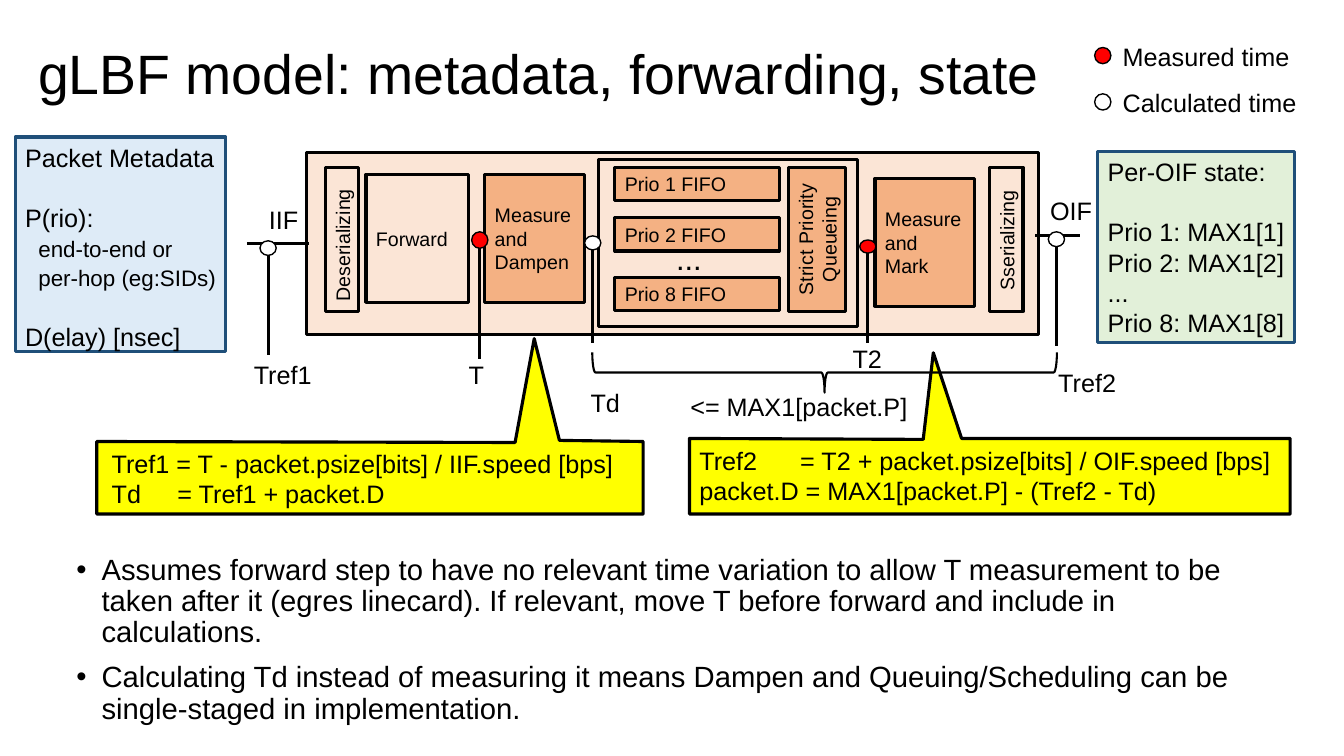
from pptx import Presentation
from pptx.util import Pt
from pptx.dml.color import RGBColor
from pptx.enum.shapes import MSO_SHAPE as SHAPE, MSO_CONNECTOR as CONN
from pptx.enum.text import MSO_ANCHOR as ANCHOR, PP_ALIGN as ALIGN
from pptx.oxml.ns import qn
from lxml.etree import SubElement

BLACK, WHITE, RED, YELLOW = "000000", "FFFFFF", "FF0000", "FFFF00"
PALE, ORANGE, NAVY = "FBE5D6", "F4B183", "1F4F79"
DOT = 11.6    # marker width
LINE = 21.6   # height of one 18 pt line


def rgb(hex_color):
    return RGBColor.from_string(hex_color)


def style(sp, fill=None, line=BLACK, weight=2.25):
    sp.shadow.inherit = False
    if fill:
        sp.fill.solid()
        sp.fill.fore_color.rgb = rgb(fill)
    else:
        sp.fill.background()
    sp.line.color.rgb = rgb(line)
    sp.line.width = Pt(weight)
    return sp


def write(sp, lines, size=18, para=None, indent=0, hanging=0, bullet=None,
          tab=None, **frame):
    """Each line is a string, or a string with its own size, space and indent."""
    tf = sp.text_frame
    for name, value in frame.items():
        setattr(tf, name, value)
    for i, line in enumerate(lines):
        text, own = line if isinstance(line, tuple) else (line, {})
        p = tf.paragraphs[0] if i == 0 else tf.add_paragraph()
        fmt = {"alignment": ALIGN.LEFT, **(para or {})}
        if "before" in own:
            fmt["space_before"] = Pt(own["before"])
        for name, value in fmt.items():
            setattr(p, name, value)
        pPr = p._p.get_or_add_pPr()
        for name, value in (("marL", own.get("indent", indent)), ("indent", -hanging)):
            if value:
                pPr.set(name, str(Pt(value)))
        if bullet:
            SubElement(pPr, qn("a:buFont")).set("typeface", "Arial")
            SubElement(pPr, qn("a:buChar")).set("char", bullet)
        if tab:
            stop = SubElement(SubElement(pPr, qn("a:tabLst")), qn("a:tab"))
            stop.set("pos", str(Pt(tab)))
            stop.set("algn", "l")
        r = p.add_run()
        r.text = text
        font = {"name": "Arial", "size": Pt(own.get("size", size))}
        for name, value in font.items():
            setattr(r.font, name, value)
        r.font.color.rgb = rgb(BLACK)


def add_text(s, x, y, w, h, lines, **fmt):
    sp = s.shapes.add_textbox(Pt(x), Pt(y), Pt(w), Pt(h))
    write(sp, lines, **{"word_wrap": True, **fmt})


def add_label(s, x, y, w, text, h=28.8, size=18):
    add_text(s, x, y, w, h, [text], size=size, word_wrap=False)


def add_box(s, x, y, w, h, lines=(), fill=None, line=BLACK, rotation=0, **fmt):
    sp = s.shapes.add_shape(SHAPE.RECTANGLE, Pt(x), Pt(y), Pt(w), Pt(h))
    sp.rotation = rotation
    style(sp, fill, line)
    if lines:
        write(sp, lines, **{"size": 14, "vertical_anchor": ANCHOR.MIDDLE, **fmt})


def add_dot(s, cx, y, h, fill):
    sp = s.shapes.add_shape(SHAPE.OVAL, Pt(cx - DOT / 2), Pt(y), Pt(DOT), Pt(h))
    style(sp, fill, weight=1)


def add_line(s, x1, y1, x2, y2):
    c = s.shapes.add_connector(CONN.STRAIGHT, Pt(x1), Pt(y1), Pt(x2), Pt(y2))
    c.line.color.rgb = rgb(BLACK)
    c.line.width = Pt(2.25)
    SubElement(c._element.spPr, qn("a:effectLst"))


def add_marker(s, cx, y, h, end, fill):
    """A time marker: a dot with a stem down to its label."""
    add_dot(s, cx, y, h, fill)
    add_line(s, cx, y + h, cx, end)


def add_callout(s, outline):
    points = [(Pt(x), Pt(y)) for x, y in outline]
    fb = s.shapes.build_freeform(*points[0])
    fb.add_line_segments(points[1:], close=True)
    style(fb.convert_to_shape(), YELLOW)


def main():
    prs = Presentation()
    prs.slide_width, prs.slide_height = Pt(960), Pt(540)
    s = prs.slides.add_slide(prs.slide_layouts[6])

    # Title and notes below the diagram
    add_text(s, 20.2, 13, 744.5, 83.5,
             ["gLBF model: metadata, forwarding, state"], size=39.6,
             para={"line_spacing": 0.88}, vertical_anchor=ANCHOR.MIDDLE)
    add_text(s, 47.5, 393.1, 846, 131, [
        "Assumes forward step to have no relevant time variation to allow T "
        "measurement to be taken after it (egres linecard). If relevant, move T "
        "before forward and include in calculations.",
        "Calculating Td instead of measuring it means Dampen and "
        "Queuing/Scheduling can be single-staged in implementation."],
        size=20.9, para={"line_spacing": 0.89, "space_before": Pt(10)},
        indent=18, hanging=18, bullet="•")

    # Node and its processing stages
    add_box(s, 218.9, 108.7, 522.7, 130.3, fill=PALE)
    add_box(s, 193, 159.1, 103, 23.8, ["Deserializing"], rotation=270)
    add_box(s, 261.4, 124.6, 73.4, 91.4, ["Forward"])
    add_box(s, 346.3, 124.6, 71.3, 91.4, ["Measure", "and", "Dampen"], ORANGE)
    for number, y in ((1, 119.5), (2, 155.5), (8, 198)):
        add_box(s, 439.2, y, 117.4, 23.8, [f"Prio {number} FIFO"], ORANGE)
    add_label(s, 475.9, 167.8, 33.1, "...", h=33.8, size=22)
    add_box(s, 532.1, 150.5, 103, 41, ["Strict Priority", "Queueing"], ORANGE,
            rotation=270, para={"alignment": ALIGN.CENTER})
    add_box(s, 667.4, 159.1, 103, 23.8, ["Sserializing"], rotation=270, indent=7.8)
    add_box(s, 625, 127.4, 71.3, 91.4, ["Measure", "and", "Mark"], ORANGE)
    add_box(s, 427.7, 113.8, 185, 119.5)

    # Side panels
    panel = {"line": NAVY, "size": 18, "word_wrap": False,
             "vertical_anchor": ANCHOR.TOP}
    gap = {"before": LINE}
    add_box(s, 784.1, 108, 140.4, 136.8, [
        "Per-OIF state:", ("Prio 1: MAX1[1]", gap), "Prio 2: MAX1[2]", "...",
        "Prio 8: MAX1[8]"], "E2F0D9", **panel)
    small = {"size": 16, "indent": 9.5, "before": 1.5}
    add_box(s, 10.8, 97.9, 150.5, 153.4, [
        "Packet Metadata", ("P(rio):", gap), ("end-to-end or", small),
        ("per-hop (eg:SIDs)", small), ("D(elay) [nsec]", gap)],
        "DEEBF7", **panel)

    # Interfaces and time markers
    add_line(s, 176.4, 174.2, 221, 174.2)
    add_line(s, 739.4, 168.5, 771.1, 168.5)
    for marker in ((191.5, 172, 10.4, 253.4, WHITE),
                   (342.7, 165.6, 11.8, 256.3, RED),
                   (423.4, 168.5, 10, 244.8, WHITE),
                   (619.9, 171.4, 9.4, 244.8, RED),
                   (754.6, 165.6, 10.6, 247, WHITE)):
        add_marker(s, *marker)

    # Formula callouts
    add_callout(s, [(69.1, 315.4), (367.9, 316.1), (381.6, 241.9), (399.6, 314.6),
                    (459.4, 315.4), (459.4, 367.2), (69.1, 367.2)])
    add_text(s, 72.7, 316.8, 388.8, 50.4, [
        "Tref1 = T - packet.psize[bits] / IIF.speed [bps]",
        "Td\t= Tref1 + packet.D"], tab=47)
    add_callout(s, [(492.5, 313.2), (659.5, 313.9), (666.7, 252), (686.9, 313.2),
                    (921.6, 313.2), (921.6, 367.2), (492.5, 367.2)])
    add_text(s, 492.5, 314.6, 429.1, 50.4, [
        "Tref2\t= T2 + packet.psize[bits] / OIF.speed [bps]",
        "packet.D = MAX1[packet.P] - (Tref2 - Td)"], tab=72)

    # Brace from Td to Tref2
    brace = s.shapes.add_shape(SHAPE.LEFT_BRACE, Pt(574.6), Pt(100.1),
                               Pt(28.8), Pt(331.9))
    brace.rotation = 270
    brace.adjustments[0] = 0.08
    style(brace, weight=1.5)

    # Labels
    for x, y, w, text in ((185, 142.6, 40, "IIF"), (743, 136.1, 50, "OIF"),
                          (174.2, 253.4, 65, "Tref1"), (327.6, 253.4, 30, "T"),
                          (414.7, 272.9, 40, "Td"), (601.9, 241.9, 40, "T2"),
                          (748.8, 258.5, 65, "Tref2"),
                          (486, 275.8, 190, "<= MAX1[packet.P]")):
        add_label(s, x, y, w, text)

    # Legend
    for y, fill, text in ((25.9, RED, "Measured time"),
                          (59, WHITE, "Calculated time")):
        add_dot(s, 787.7, y + 8, DOT, fill)
        add_label(s, 794.9, y, 155, text)

    prs.save("out.pptx")


main()
